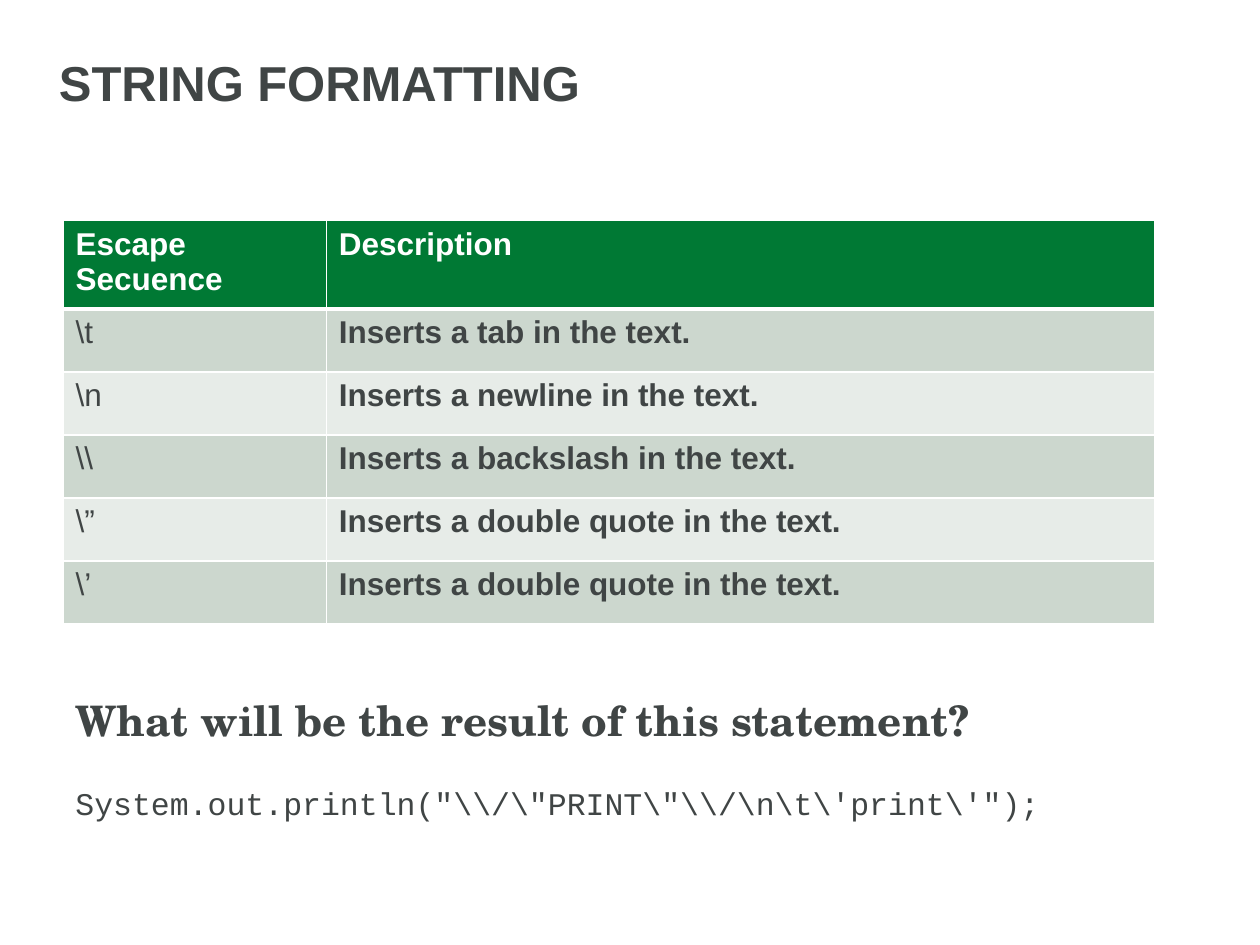
from lxml.etree import Element, SubElement
from pptx import Presentation
from pptx.dml.color import RGBColor
from pptx.enum.text import MSO_ANCHOR
from pptx.oxml.ns import qn
from pptx.util import Cm, Pt

DARK, WHITE, GREEN = "404545", "FFFFFF", "007934"
BANDS = ["CCD7CE", "E7ECE8"]
ROWS = [
    ("Escape Secuence", "Description"),
    (r"\t", "Inserts a tab in the text."),
    (r"\n", "Inserts a newline in the text."),
    (r"\\", "Inserts a backslash in the text."),
    (r"\”", "Inserts a double quote in the text."),
    (r"\’", "Inserts a double quote in the text."),
]
ASK = "What will be the result of this statement?"
CODE = r'''System.out.println("\\/\"PRINT\"\\/\n\t\'print\'");'''


def paint(color, value):
    color.rgb = RGBColor.from_string(value)


def write(para, text, size, face="Arial", color=DARK, bold=False):
    para.text = text
    font = para.font
    font.size, font.name, font.bold = Pt(size), face, bold
    paint(font.color, color)


def add_text(slide, box):
    frame = slide.shapes.add_textbox(*map(Cm, box)).text_frame
    frame.word_wrap = True
    return frame


def add_title(slide, box):
    frame = add_text(slide, box)
    frame.vertical_anchor = MSO_ANCHOR.MIDDLE
    write(frame.paragraphs[0], "STRING FORMATTING", 28, bold=True)


def set_edges(cell, widths):
    props = cell._tc.get_or_add_tcPr()
    for spot, (side, width) in enumerate(widths.items()):
        line = Element(qn(f"a:ln{side}"), w=str(Pt(width)))
        fill = SubElement(line, qn("a:solidFill"))
        SubElement(fill, qn("a:srgbClr"), val=WHITE)
        props.insert(spot, line)


def add_grid(slide, box):
    left, top, width, height = box
    table = slide.shapes.add_table(len(ROWS), 2, *map(Cm, box)).table
    first = 5.31
    table.columns[0].width = Cm(first)
    table.columns[1].width = Cm(width - first)
    for r, row in enumerate(ROWS):
        table.rows[r].height = Cm(height / len(ROWS))
        head = r == 0
        for c, text in enumerate(row):
            cell = table.cell(r, c)
            cell.fill.solid()
            paint(cell.fill.fore_color, GREEN if head else BANDS[(r - 1) % 2])
            write(cell.text_frame.paragraphs[0], text, 18,
                  color=WHITE if head else DARK, bold=head or c == 1)
            set_edges(cell, {"L": 1, "R": 1, "T": 3 if r == 1 else 1,
                             "B": 3 if head else 1})


def add_quiz(slide, box):
    frame = add_text(slide, box)
    ask = frame.paragraphs[0]
    write(ask, ASK, 24, "TeX Gyre Schola", bold=True)
    ask.space_after = Pt(22.5)
    write(frame.add_paragraph(), CODE, 18, "Courier New")


def main():
    deck = Presentation()
    deck.slide_width, deck.slide_height = Cm(25.4), Cm(19.05)
    slide = deck.slides.add_slide(deck.slide_layouts[6])
    add_title(slide, (0.94, 0.84, 23.27, 1.63))
    add_grid(slide, (1.27, 4.45, 22, 7.62))
    add_quiz(slide, (1.27, 13.87, 22, 2.82))
    deck.save("out.pptx")


if __name__ == "__main__":
    main()
